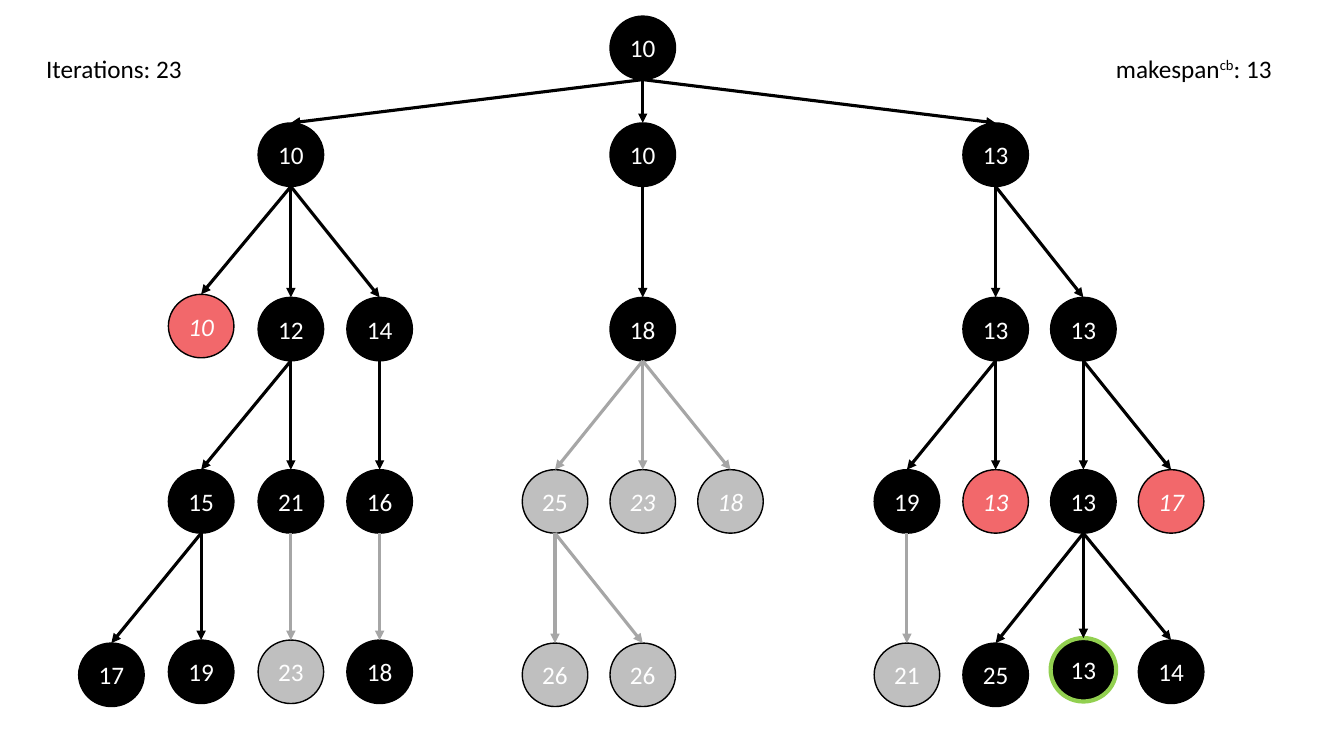
from dataclasses import dataclass
from typing import NamedTuple

from lxml.etree import SubElement
from pptx import Presentation
from pptx.dml.color import RGBColor
from pptx.enum.shapes import MSO_CONNECTOR, MSO_SHAPE
from pptx.enum.text import MSO_ANCHOR, PP_ALIGN
from pptx.oxml.ns import qn
from pptx.shapes.autoshape import Shape
from pptx.slide import Slide
from pptx.text.text import _Paragraph as Paragraph
from pptx.util import Inches, Pt

BLACK = RGBColor(0x00, 0x00, 0x00)
WHITE = RGBColor(0xFF, 0xFF, 0xFF)
RED = RGBColor(0xF2, 0x68, 0x6B)
GREEN = RGBColor(0x92, 0xD0, 0x50)
LIGHT_GRAY = RGBColor(0xBF, 0xBF, 0xBF)
EDGE_GRAY = RGBColor(0xA6, 0xA6, 0xA6)

FONT = "Calibri"
FONT_SIZE = Pt(18)
NODE_WIDTH, NODE_HEIGHT = Inches(0.65), Inches(0.63)
COLUMN_LEFTS = (0.78, 1.67, 2.56, 3.44, 5.18, 6.05, 6.92, 8.67, 9.55, 10.42, 11.29)
LEVEL_TOPS = (0.16, 1.22, 2.95, 4.66, 6.38)
BOTTOM_SITE = 4


class State(NamedTuple):
    """Look of a search node and of the arrow leading to it."""
    fill: RGBColor = BLACK
    edge: RGBColor = BLACK
    italic: bool = False
    outline: RGBColor = BLACK
    outline_width: float = 1


EXPLORED = State()
EXPLORED_LATE = State(edge=EDGE_GRAY)
REJECTED = State(fill=RED, italic=True)
PRUNED = State(fill=LIGHT_GRAY, edge=EDGE_GRAY)
PRUNED_ITALIC = State(fill=LIGHT_GRAY, edge=EDGE_GRAY, italic=True)
BEST = State(outline=GREEN, outline_width=3)


@dataclass(frozen=True)
class Node:
    """A tree node: its cost, column, state, small upward shift and children."""
    cost: int
    column: int
    state: State = EXPLORED
    lift: float = 0
    children: tuple["Node", ...] = ()


LEFT_BRANCH = Node(10, 2, children=(
    Node(10, 1, REJECTED, lift=0.03),
    Node(12, 2, children=(
        Node(15, 1, children=(Node(17, 0), Node(19, 1, lift=0.03))),
        Node(21, 2, children=(Node(23, 2, PRUNED, lift=0.03),)),
    )),
    Node(14, 3, children=(
        Node(16, 3, children=(Node(18, 3, EXPLORED_LATE, lift=0.03),)),
    )),
))
MIDDLE_BRANCH = Node(10, 5, children=(
    Node(18, 5, children=(
        Node(25, 4, PRUNED, children=(Node(26, 4, PRUNED), Node(26, 5, PRUNED))),
        Node(23, 5, PRUNED_ITALIC),
        Node(18, 6, PRUNED_ITALIC),
    )),
))
RIGHT_BRANCH = Node(13, 8, children=(
    Node(13, 8, children=(
        Node(19, 7, children=(Node(21, 7, PRUNED),)),
        Node(13, 8, REJECTED),
    )),
    Node(13, 9, children=(
        Node(13, 9, children=(
            Node(25, 8), Node(13, 9, BEST, lift=0.05), Node(14, 10, lift=0.03),
        )),
        Node(17, 10, REJECTED),
    )),
))
SEARCH_TREE = Node(10, 5, children=(LEFT_BRANCH, MIDDLE_BRANCH, RIGHT_BRANCH))


def format_paragraph(para: Paragraph, color: RGBColor) -> None:
    """Apply the common font in the given colour."""
    para.font.name = FONT
    para.font.size = FONT_SIZE
    para.font.color.rgb = color


def draw_node(page: Slide, node: Node, level: int) -> Shape:
    """Draw one circle with its cost."""
    circle = page.shapes.add_shape(
        MSO_SHAPE.FLOWCHART_CONNECTOR, Inches(COLUMN_LEFTS[node.column]),
        Inches(LEVEL_TOPS[level] - node.lift), NODE_WIDTH, NODE_HEIGHT)
    circle.shadow.inherit = False
    circle.fill.solid()
    circle.fill.fore_color.rgb = node.state.fill
    circle.line.color.rgb = node.state.outline
    circle.line.width = Pt(node.state.outline_width)
    frame = circle.text_frame
    frame.margin_left = frame.margin_right = 0
    frame.vertical_anchor = MSO_ANCHOR.MIDDLE
    para = frame.paragraphs[0]
    para.text = str(node.cost)
    para.alignment = PP_ALIGN.CENTER
    format_paragraph(para, WHITE)
    para.font.italic = node.state.italic
    return circle


def draw_edge(page: Slide, parent: Shape, child: Shape, color: RGBColor) -> None:
    """Draw an arrow glued to the parent's bottom and the child's top."""
    arrow = page.shapes.add_connector(
        MSO_CONNECTOR.STRAIGHT,
        parent.left + parent.width // 2, parent.top + parent.height,
        child.left + child.width // 2, child.top)
    start = arrow._element.nvCxnSpPr.cNvCxnSpPr.get_or_add_stCxn()
    start.id, start.idx = parent.shape_id, BOTTOM_SITE
    arrow.end_connect(child, 0)
    arrow.line.color.rgb = color
    arrow.line.width = Pt(2.25)
    SubElement(arrow.line._get_or_add_ln(), qn("a:tailEnd"), type="triangle")
    SubElement(arrow._element.spPr, qn("a:effectLst"))


def draw_tree(page: Slide, node: Node, level: int = 0) -> Shape:
    """Draw a node, its subtrees and the arrows to them."""
    circle = draw_node(page, node, level)
    for child in node.children:
        draw_edge(page, circle, draw_tree(page, child, level + 1), child.state.edge)
    return circle


def add_caption(page: Slide, left: float, width: float) -> Paragraph:
    """Add a caption box and return its formatted paragraph."""
    box = page.shapes.add_textbox(Inches(left), Inches(0.48), Inches(width), Inches(0.4))
    box.text_frame.word_wrap = True
    para = box.text_frame.paragraphs[0]
    format_paragraph(para, BLACK)
    return para


def main() -> None:
    """Build the slide and save the deck."""
    deck = Presentation()
    deck.slide_width, deck.slide_height = Inches(13.33), Inches(7.5)
    page = deck.slides.add_slide(deck.slide_layouts[6])
    draw_tree(page, SEARCH_TREE)

    add_caption(page, 0.36, 1.56).add_run().text = "Iterations: 23"
    makespan = add_caption(page, 10.97, 2.06)
    for text in ("makespan", "cb", ": 13"):
        span = makespan.add_run()
        span.text = text
        if text == "cb":
            span.font._element.set("baseline", "30000")

    deck.save("out.pptx")


main()
